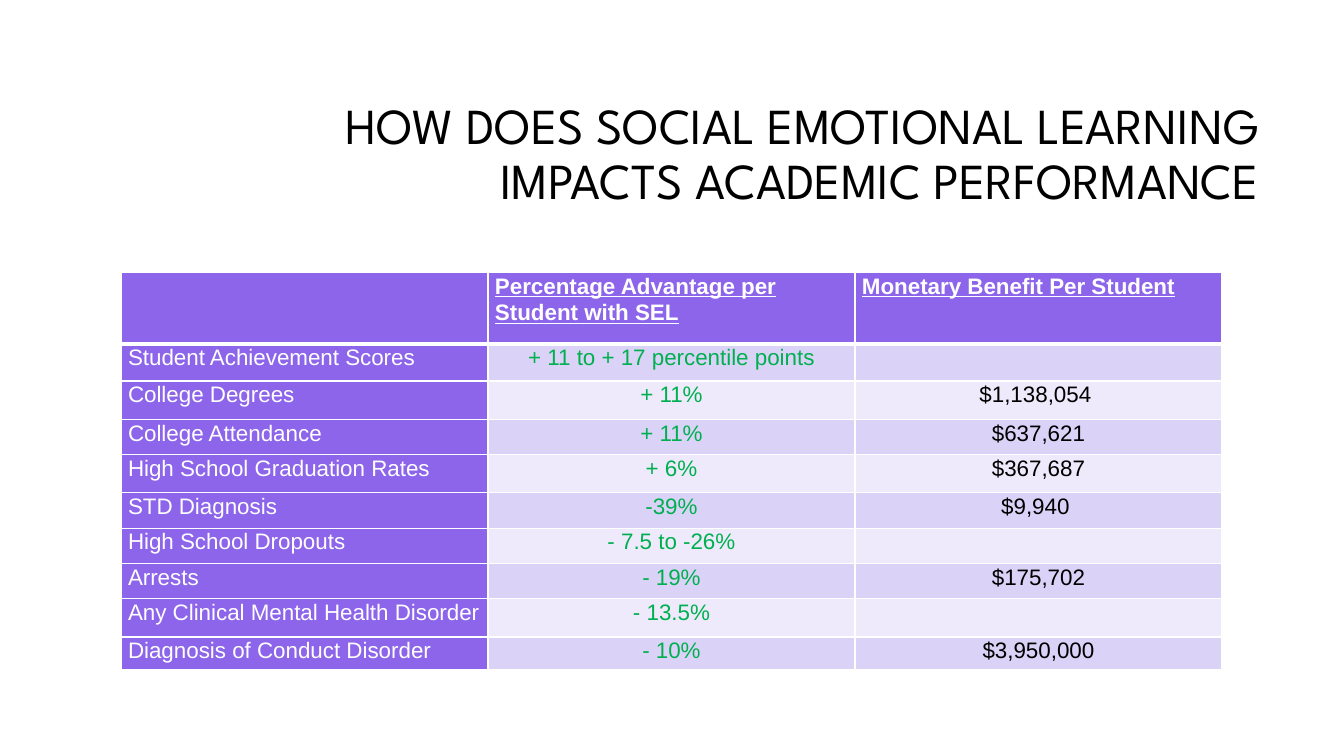
from pptx import Presentation
from pptx.dml.color import RGBColor as RGB
from pptx.enum.text import MSO_ANCHOR as Anchor, PP_ALIGN as Align
from pptx.oxml.ns import qn
from pptx.util import Inches, Pt
from lxml.etree import SubElement as Sub

COLORS = {
    "black": "000000",
    "white": "FFFFFF",
    "purple": "8D65EA",
    "lilac": "DBD3F7",
    "pale": "EEEAFB",
    "green": "00B050",
}
ROWS = [
    ("", "Percentage Advantage per Student with SEL", "Monetary Benefit Per Student"),
    ("Student Achievement Scores", "+ 11 to + 17 percentile points", ""),
    ("College Degrees", "+ 11%", "$1,138,054 "),
    ("College Attendance", "+ 11%", "$637,621"),
    ("High School Graduation Rates", "+ 6%", "$367,687"),
    ("STD Diagnosis", "-39%", "$9,940\u00a0"),
    ("High School Dropouts", "- 7.5 to -26%", ""),
    ("Arrests", "- 19%", "$175,702"),
    ("Any Clinical Mental Health Disorder", "- 13.5%", ""),
    ("Diagnosis of Conduct Disorder", "- 10%", "$3,950,000"),
]
HEIGHTS = [0.71, 0.37, 0.38, 0.35, 0.38, 0.35, 0.35, 0.35, 0.38, 0.32]


def style(frame, font, size, color, align, spacing):
    para = frame.paragraphs[0]
    para.alignment = align
    para.line_spacing = spacing
    for run in para.runs:
        run.font.name = font
        run.font.size = Pt(size)
        run.font.color.rgb = RGB.from_string(COLORS[color])


def border(cell, side, width):
    line = Sub(cell._tc.get_or_add_tcPr(), qn("a:ln" + side), w=str(Pt(width)))
    fill = Sub(line, qn("a:solidFill"))
    Sub(fill, qn("a:srgbClr"), val=COLORS["white"])


deck = Presentation()
deck.slide_width = Inches(13.33)
deck.slide_height = Inches(7.5)
slide = deck.slides.add_slide(deck.slide_layouts[6])

title = slide.shapes.add_textbox(Inches(3.17), Inches(0.84), Inches(9.42), Inches(1.41))
frame = title.text_frame
frame.word_wrap = True
frame.vertical_anchor = Anchor.MIDDLE
frame.text = "HOW DOES SOCIAL EMOTIONAL LEARNING IMPACTS ACADEMIC PERFORMANCE"
style(frame, "League Spartan", 36, "black", Align.RIGHT, 0.9)

table = slide.shapes.add_table(
    len(ROWS), 3, Inches(1.2), Inches(2.7), Inches(10.92), Inches(3.94)
).table
for col in table.columns:
    col.width = Inches(3.64)

for r, (texts, height) in enumerate(zip(ROWS, HEIGHTS)):
    table.rows[r].height = Inches(height)
    for c, text in enumerate(texts):
        cell = table.cell(r, c)
        head = r == 0
        label = head or c == 0
        cell.margin_left = cell.margin_right = Inches(0.07)
        cell.margin_top = cell.margin_bottom = 0
        for side in "LRTB":
            thick = (r, side) in ((0, "B"), (1, "T"))
            border(cell, side, 3 if thick else 1)
        shade = "purple" if label else "lilac" if r % 2 else "pale"
        cell.fill.solid()
        cell.fill.fore_color.rgb = RGB.from_string(COLORS[shade])
        cell.text_frame.text = text
        color = "white" if label else "green" if c == 1 else "black"
        align = Align.LEFT if label else Align.CENTER
        style(cell.text_frame, "Arial", 16, color, align, 1.07)
        for run in cell.text_frame.paragraphs[0].runs:
            run.font.bold = head
            run.font.underline = head

deck.save("out.pptx")
